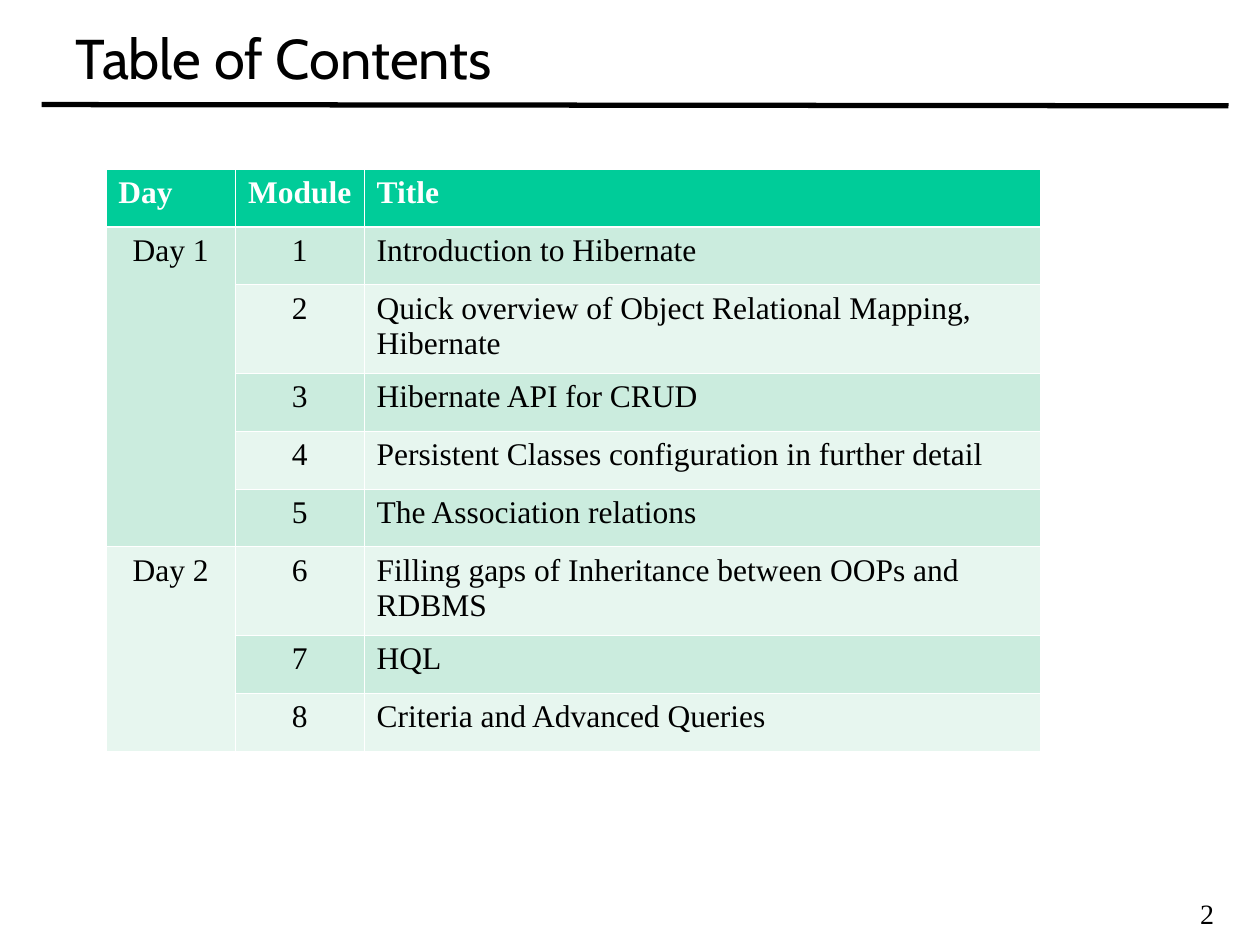
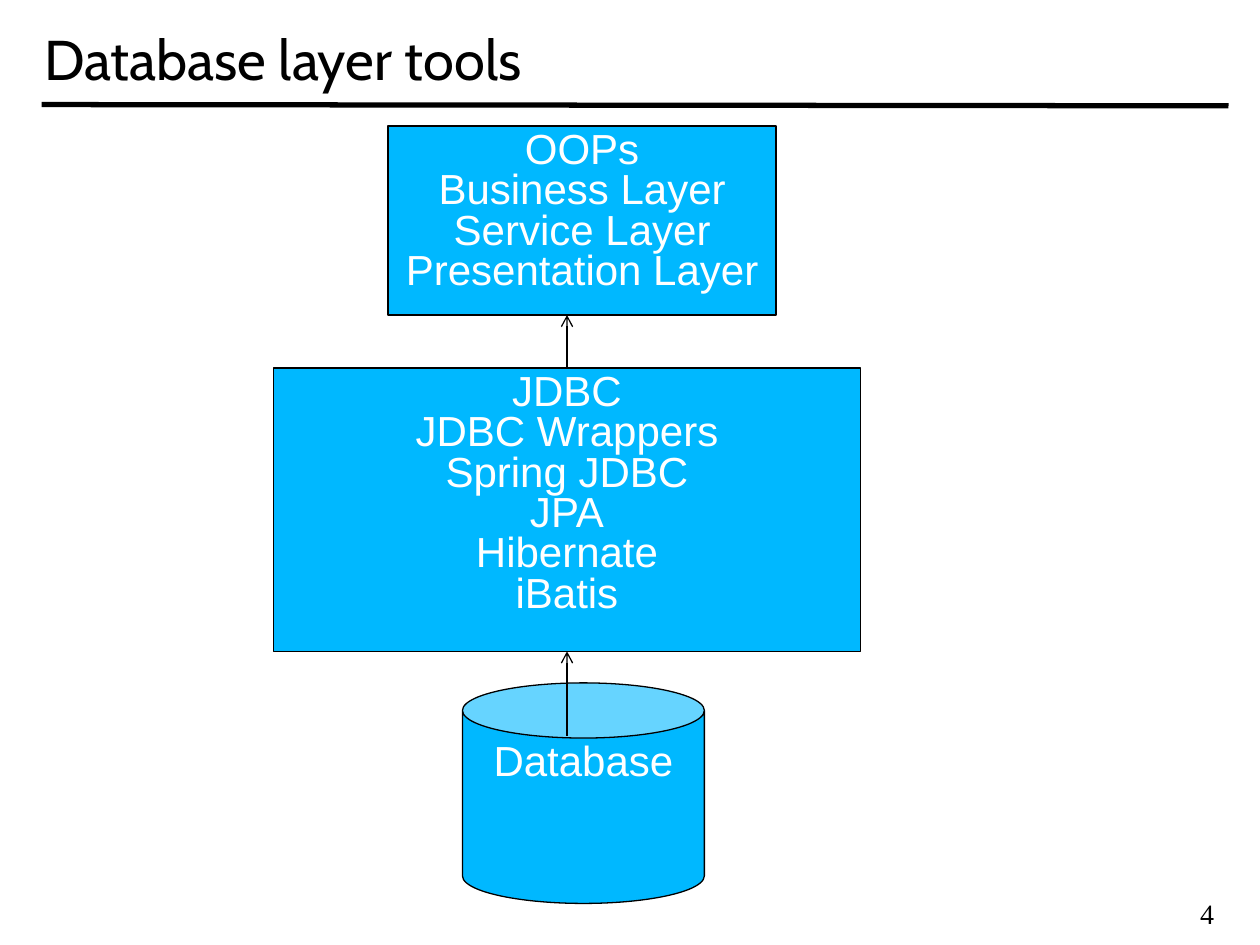
from lxml import etree
from pptx import Presentation
from pptx.dml.color import RGBColor
from pptx.enum import shapes, text
from pptx.oxml import ns
from pptx.util import Inches, Pt

COLORS = {
    "ink": "000000",
    "white": "FFFFFF",
    "header": "00CC99",
    "band_dark": "CBECDE",
    "band_light": "E7F6EF",
    "layer": "00B8FF",
}
TITLE_FONT, LAYER_FONT, TEXT_FONT = "Cabin", "Arial", "Times New Roman"
LEFT, CENTER = text.PP_ALIGN.LEFT, text.PP_ALIGN.CENTER

HEADINGS = ["Day", "Module", "Title"]
DAYS = {
    "Day 1": [
        "Introduction to Hibernate",
        "Quick overview of Object Relational Mapping, Hibernate",
        "Hibernate API for CRUD",
        "Persistent Classes configuration in further detail",
        "The Association relations",
    ],
    "Day 2": [
        "Filling gaps of Inheritance between OOPs and RDBMS",
        "HQL",
        "Criteria and Advanced Queries",
    ],
}
COLUMN_WIDTHS = [1.03, 1.02, 5.37]
ROW_HEIGHT, TALL_ROW_HEIGHT = 0.46, 0.7
ONE_LINE_CHARS = 50

RECT, CAN = shapes.MSO_SHAPE.RECTANGLE, shapes.MSO_SHAPE.CAN
APPLICATION = ["OOPs", "Business Layer", "Service Layer", "Presentation Layer"]
DATA_ACCESS = ["JDBC", "JDBC Wrappers", "Spring JDBC", "JPA", "Hibernate", "iBatis"]
DATABASE = ["Database"]
ARROW_X = 4.5


def rgb(name):
    return RGBColor.from_string(COLORS[name])


def inches(*lengths):
    return [Inches(length) for length in lengths]


def write(frame, lines, font, size, color="ink", align=LEFT, bold=False, spacing=None):
    """Put each line in its own paragraph, all in one style."""
    for i, line in enumerate(lines):
        paragraph = frame.add_paragraph() if i else frame.paragraphs[0]
        paragraph.alignment = align
        if spacing:
            paragraph.line_spacing = spacing
        run = paragraph.add_run()
        run.text = line
        run.font.name, run.font.size, run.font.bold = font, Pt(size), bold
        run.font.color.rgb = rgb(color)


def add_line(slide, start, end, width, arrow=False):
    line = slide.shapes.add_connector(
        shapes.MSO_CONNECTOR.STRAIGHT, *inches(*start, *end))
    line.line.color.rgb = rgb("ink")
    line.line.width = Pt(width)
    if arrow:
        etree.SubElement(line.line._get_or_add_ln(), ns.qn("a:tailEnd"), type="arrow")
    etree.SubElement(line._element.spPr, ns.qn("a:effectLst"))
    return line


def add_page(deck, title, title_box, number):
    """Add a slide with the shared rule, title and page number."""
    slide = deck.slides.add_slide(deck.slide_layouts[5])
    add_line(slide, (0.33, 0.83), (9.75, 0.84), 3)

    heading = slide.shapes.title
    heading.left, heading.top, heading.width, heading.height = inches(*title_box)
    heading.text_frame.auto_size = text.MSO_AUTO_SIZE.NONE
    heading.text_frame.vertical_anchor = text.MSO_ANCHOR.MIDDLE
    write(heading.text_frame, [title], TITLE_FONT, 32)

    page_number = slide.shapes.add_textbox(*inches(9.18, 7.12, 0.8, 0.32))
    page_number.text_frame.word_wrap = True
    write(page_number.text_frame, [str(number)], TEXT_FONT, 16,
          align=CENTER, spacing=0.8)
    return slide


def set_borders(cell, widths):
    """Draw white borders; widths are points for left, right, top, bottom."""
    properties = cell._tc.get_or_add_tcPr()
    for i, (side, width) in enumerate(zip("LRTB", widths)):
        border = etree.Element(ns.qn(f"a:ln{side}"), w=str(Pt(width)))
        fill = etree.SubElement(border, ns.qn("a:solidFill"))
        etree.SubElement(fill, ns.qn("a:srgbClr"), val=COLORS["white"])
        properties.insert(i, border)


def add_contents_table(slide):
    modules = [(day, title) for day, titles in DAYS.items() for title in titles]
    rows = [HEADINGS] + [
        ["" if i and modules[i - 1][0] == day else day, str(i + 1), title]
        for i, (day, title) in enumerate(modules)]
    heights = [TALL_ROW_HEIGHT if len(row[2]) >= ONE_LINE_CHARS and row[1] in "26"
               else ROW_HEIGHT for row in rows]
    table = slide.shapes.add_table(
        len(rows), len(HEADINGS),
        *inches(0.84, 1.34, sum(COLUMN_WIDTHS), sum(heights))).table
    table.first_row = table.horz_banding = False
    for column, width in zip(table.columns, COLUMN_WIDTHS):
        column.width = Inches(width)

    for r, (row, height) in enumerate(zip(rows, heights)):
        table.rows[r].height = Inches(height)
        is_header = r == 0
        band = "header" if is_header else "band_dark" if r % 2 else "band_light"
        for c, words in enumerate(row):
            cell = table.cell(r, c)
            cell.fill.solid()
            cell.fill.fore_color.rgb = rgb(band)
            set_borders(cell, [0.45, 0.45, 1.47 if r == 1 else 0.45,
                               1.47 if is_header else 0.45])
            if words:
                write(cell.text_frame, [words], TEXT_FONT, 18,
                      "white" if is_header else "ink",
                      LEFT if is_header or c == 2 else CENTER, is_header)

    first = 1
    for titles in DAYS.values():
        last = first + len(titles) - 1
        table.cell(first, 0).merge(table.cell(last, 0))
        first = last + 1


def add_layer(slide, kind, box, lines):
    layer = slide.shapes.add_shape(kind, *inches(*box))
    layer.shadow.inherit = False
    layer.fill.solid()
    layer.fill.fore_color.rgb = rgb("layer")
    layer.line.color.rgb = rgb("ink")
    layer.line.width = Pt(0.75)
    layer.text_frame.vertical_anchor = text.MSO_ANCHOR.TOP
    write(layer.text_frame, lines, LAYER_FONT, 24, "white", CENTER, spacing=0.8)
    return layer


def main():
    deck = Presentation()
    deck.slide_width, deck.slide_height = inches(10, 7.5)

    contents = add_page(deck, "Table of Contents", (0.5, 0.08, 8.5, 0.75), 2)
    add_contents_table(contents)

    tools = add_page(deck, "Database layer tools", (0.25, 0, 9.5, 0.92), 4)
    add_layer(tools, RECT, (3.08, 1, 3.08, 1.5), APPLICATION)
    add_layer(tools, CAN, (3.67, 5.42, 1.92, 1.75), DATABASE)
    data_access = add_layer(tools, RECT, (2.17, 2.92, 4.66, 2.25), DATA_ACCESS)
    from_database = add_line(tools, (ARROW_X, 5.84), (ARROW_X, 5.17), 0.75, arrow=True)
    from_database.end_connect(data_access, 2)
    to_application = add_line(tools, (ARROW_X, 2.92), (ARROW_X, 2.5), 0.75, arrow=True)
    to_application.begin_connect(data_access, 0)

    deck.save("out.pptx")


if __name__ == "__main__":
    main()
